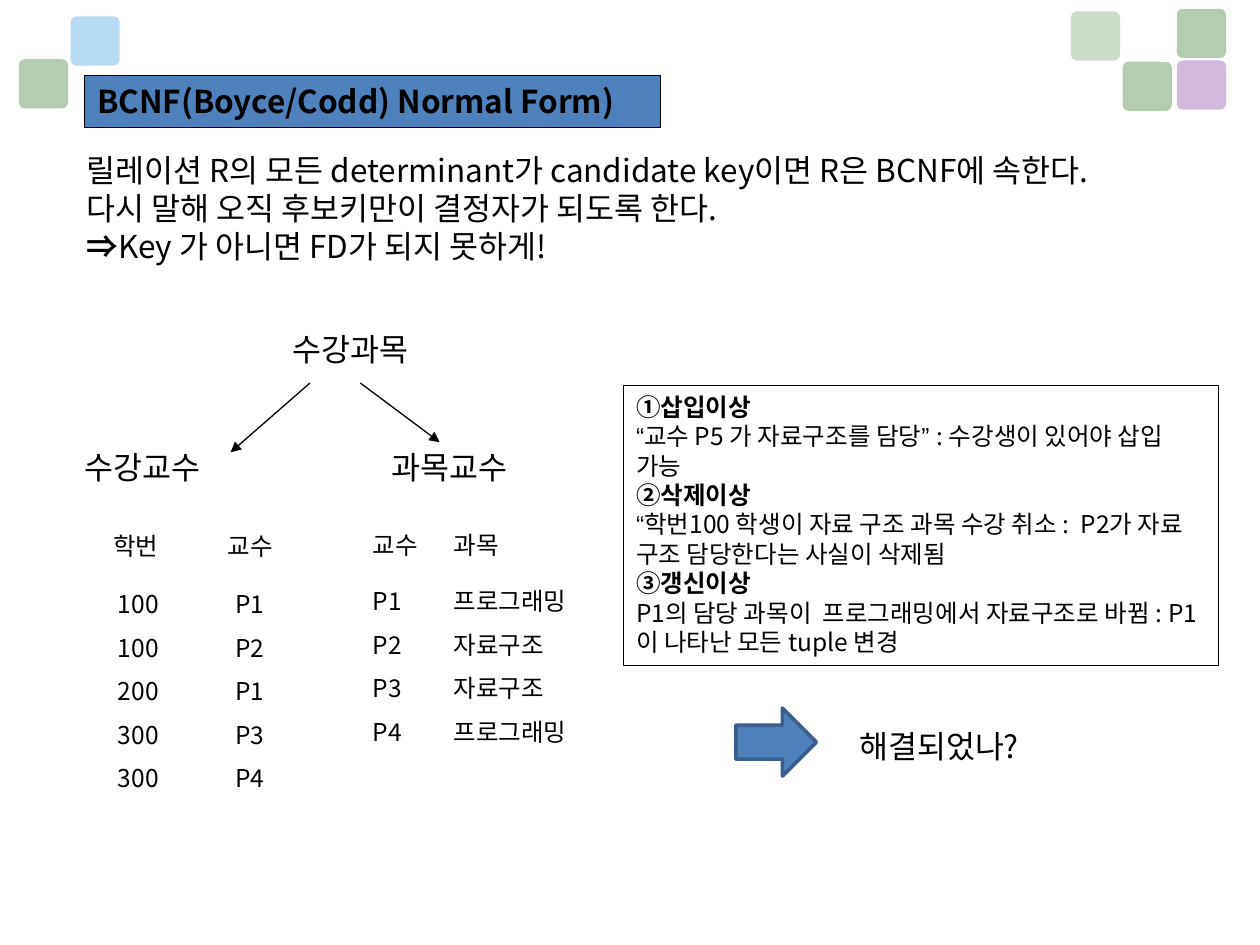
from lxml.etree import SubElement
from pptx import Presentation
from pptx.dml.color import RGBColor
from pptx.enum.shapes import MSO_CONNECTOR, MSO_SHAPE
from pptx.enum.text import MSO_ANCHOR, MSO_AUTO_SIZE, PP_ALIGN
from pptx.oxml.ns import qn
from pptx.util import Inches, Pt

FONT, QUOTE_FONT = "Noto Sans CJK KR", "Arial"
COLORS = {"ink": "000000", "blue": "4F81BD", "edge": "3A5F8C",
          "green": "9BBD98", "sky": "A1D1F1", "violet": "C4A2D2"}


def rgb(name):
    return RGBColor.from_string(COLORS[name])


class Deck:
    """Holds the style and the current slide."""

    def __init__(self, prs):
        self.s = prs.slides.add_slide(prs.slide_layouts[5])

    def add_lines(self, tf, lines, size=18, align=PP_ALIGN.LEFT, spacing=None):
        """Each line is a string or a list of (text, bold, font) runs."""
        for i, line in enumerate(lines):
            p = tf.paragraphs[0] if i == 0 else tf.add_paragraph()
            p.alignment = align
            if spacing:
                p.line_spacing = spacing
            runs = [(line, False, FONT)] if isinstance(line, str) else line
            for text, bold, font in runs:
                r = p.add_run()
                r.text = text
                r.font.size, r.font.bold, r.font.name = Pt(size), bold, font
                r.font.color.rgb = rgb("ink")
                SubElement(r.font._element, qn("a:ea")).set("typeface", font)

    def frame(self, sp, lines, size=18):
        tf = sp.text_frame
        tf.word_wrap, tf.auto_size = True, MSO_AUTO_SIZE.NONE
        tf.vertical_anchor = MSO_ANCHOR.TOP
        self.add_lines(tf, lines, size)

    def title(self, box, text):
        sp = self.s.shapes.title
        sp.left, sp.top, sp.width, sp.height = map(Inches, box)
        sp.fill.solid()
        sp.fill.fore_color.rgb = rgb("blue")
        sp.line.color.rgb, sp.line.width = rgb("ink"), Pt(0.75)
        self.frame(sp, [[(text, True, FONT)]])

    def text(self, box, *lines):
        self.frame(self.s.shapes.add_textbox(*map(Inches, box)), lines)

    def shape(self, kind, box, fill=None, line=None, width=0.75):
        sp = self.s.shapes.add_shape(kind, *map(Inches, box))
        sp.shadow.inherit = False
        if fill:
            sp.fill.solid()
            sp.fill.fore_color.rgb = rgb(fill)
        else:
            sp.fill.background()
        if line:
            sp.line.color.rgb, sp.line.width = rgb(line), Pt(width)
        else:
            sp.line.fill.background()
        return sp

    def tile(self, x, y, color, opacity):
        sp = self.shape(MSO_SHAPE.ROUNDED_RECTANGLE, (x, y, 0.39, 0.39), color)
        sp.adjustments[0] = 0.12
        clr = sp._element.spPr.find(qn("a:solidFill")).find(qn("a:srgbClr"))
        SubElement(clr, qn("a:alpha")).set("val", str(opacity * 1000))

    def arrow(self, start, end):
        c = self.s.shapes.add_connector(MSO_CONNECTOR.STRAIGHT,
                                        *map(Inches, start + end))
        c.line.color.rgb, c.line.width = rgb("ink"), Pt(0.75)
        ln = c._element.spPr.find(qn("a:ln"))
        SubElement(ln, qn("a:tailEnd")).set("type", "triangle")
        SubElement(c._element.spPr, qn("a:effectLst"))

    def table(self, left, top, widths, heights, rows, align):
        t = self.s.shapes.add_table(
            len(heights), len(widths), Inches(left), Inches(top),
            Inches(sum(widths)), Inches(sum(heights))).table
        t.first_row = t.horz_banding = False
        for col, w in zip(t.columns, widths):
            col.width = Inches(w)
        for row, h, cells in zip(t.rows, heights, rows):
            row.height = Inches(h)
            for cell, lines in zip(row.cells, cells):
                cell.fill.background()
                cell.vertical_anchor = MSO_ANCHOR.MIDDLE
                self.add_lines(cell.text_frame, lines, 14, align, 1.22)


def main():
    prs = Presentation()
    prs.slide_width, prs.slide_height = Inches(10), Inches(7.5)
    d = Deck(prs)

    # Corner tiles
    for tile in [(9.34, 0.48, "violet", 75), (9.34, 0.07, "green", 75),
                 (8.91, 0.49, "green", 75), (8.5, 0.09, "green", 51),
                 (0.56, 0.13, "sky", 75), (0.15, 0.47, "green", 75)]:
        d.tile(*tile)

    # Title and definition
    d.title((0.67, 0.6, 4.57, 0.41), "BCNF(Boyce/Codd) Normal Form)")
    d.text((0.59, 1.15, 8.9, 1),
           "릴레이션 R의 모든 determinant가 candidate key이면 R은 BCNF에 속한다.",
           "다시 말해 오직 후보키만이 결정자가 되도록 한다.",
           [("⇒", True, FONT), ("Key 가 아니면 FD가 되지 못하게!", False, FONT)])

    # Decomposed relations
    d.table(0.65, 4.06, (0.94, 0.79), (0.47, 1.1),
            [(["학번  "], ["교수"]),
             (["100 ", "100 ", "200 ", "300 ", "300 "],
              ["P1", "P2", "P1", "P3", "P4"])], PP_ALIGN.CENTER)
    d.table(2.86, 4.06, (0.64, 1.25), (0.36, 1.06),
            [(["교수"], ["과목"]),
             (["P1 ", "P2 ", "P3 ", "P4 "],
              ["프로그래밍", "자료구조", "자료구조", "프로그래밍"])],
            PP_ALIGN.JUSTIFY)

    # Decomposition tree
    d.text((2.22, 2.57, 1.42, 0.4), "수강과목")
    d.text((0.57, 3.51, 1.57, 0.4), "수강교수")
    d.text((3.01, 3.51, 1.49, 0.4), "과목교수")
    d.arrow((2.46, 3.04), (1.83, 3.59))
    d.arrow((2.86, 3.04), (3.49, 3.51))

    # Anomalies
    box = d.shape(MSO_SHAPE.RECTANGLE, (4.95, 3.06, 4.72, 2.22), line="ink")
    d.frame(box, [
        [("①삽입이상", True, FONT)],
        [("“", False, QUOTE_FONT), ("교수 P5 가 자료구조를 담당", False, FONT),
         ("” ", False, QUOTE_FONT), (": 수강생이 있어야 삽입 가능", False, FONT)],
        [("②삭제이상", True, FONT)],
        [("“", False, QUOTE_FONT),
         ("학번100 학생이 자료 구조 과목 수강 취소 :  P2가 자료 구조 "
          "담당한다는 사실이 삭제됨", False, FONT)],
        [("③갱신이상", True, FONT)],
        "P1의 담당 과목이  프로그래밍에서 자료구조로 바뀜 : "
        "P1이 나타난 모든 tuple 변경",
    ], 14)

    # Closing question
    d.shape(MSO_SHAPE.RIGHT_ARROW, (5.84, 5.62, 0.64, 0.54), "blue", "edge", 2)
    d.text((6.72, 5.72, 1.67, 0.4), "해결되었나?")

    prs.save("out.pptx")


if __name__ == "__main__":
    main()
